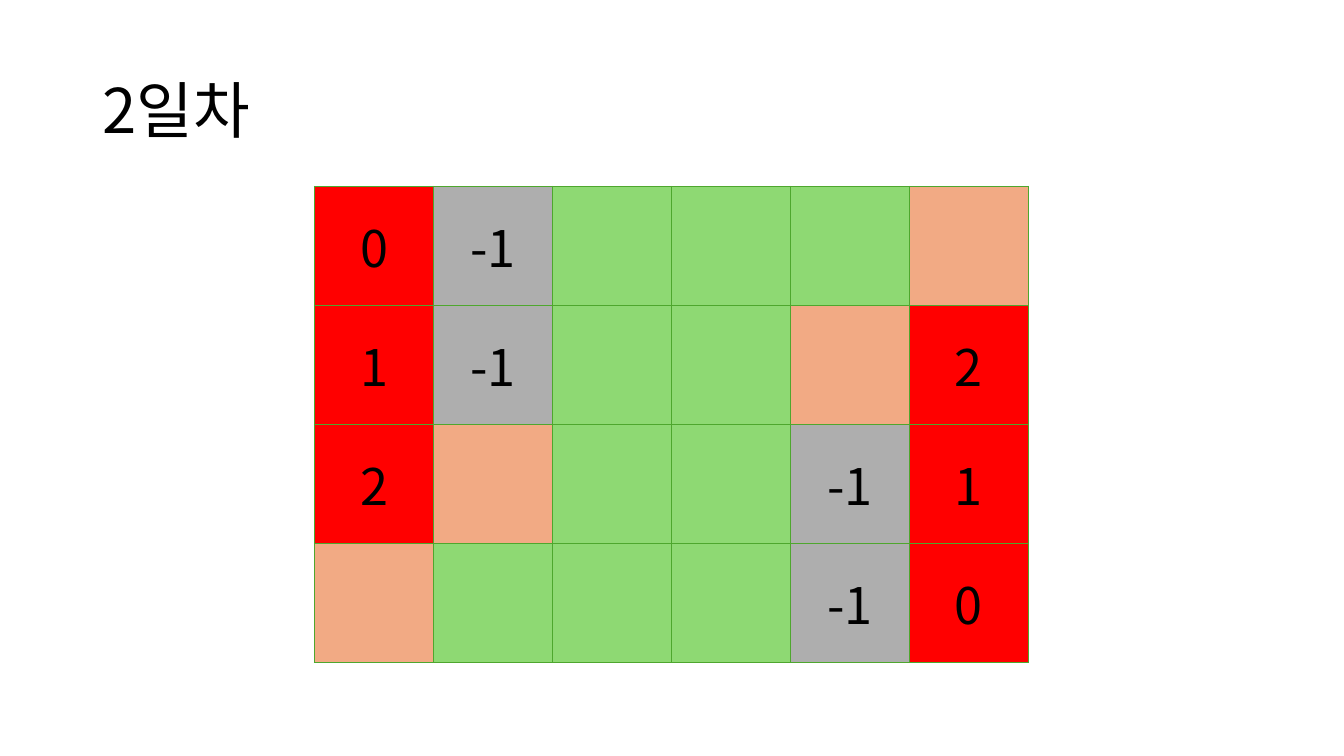
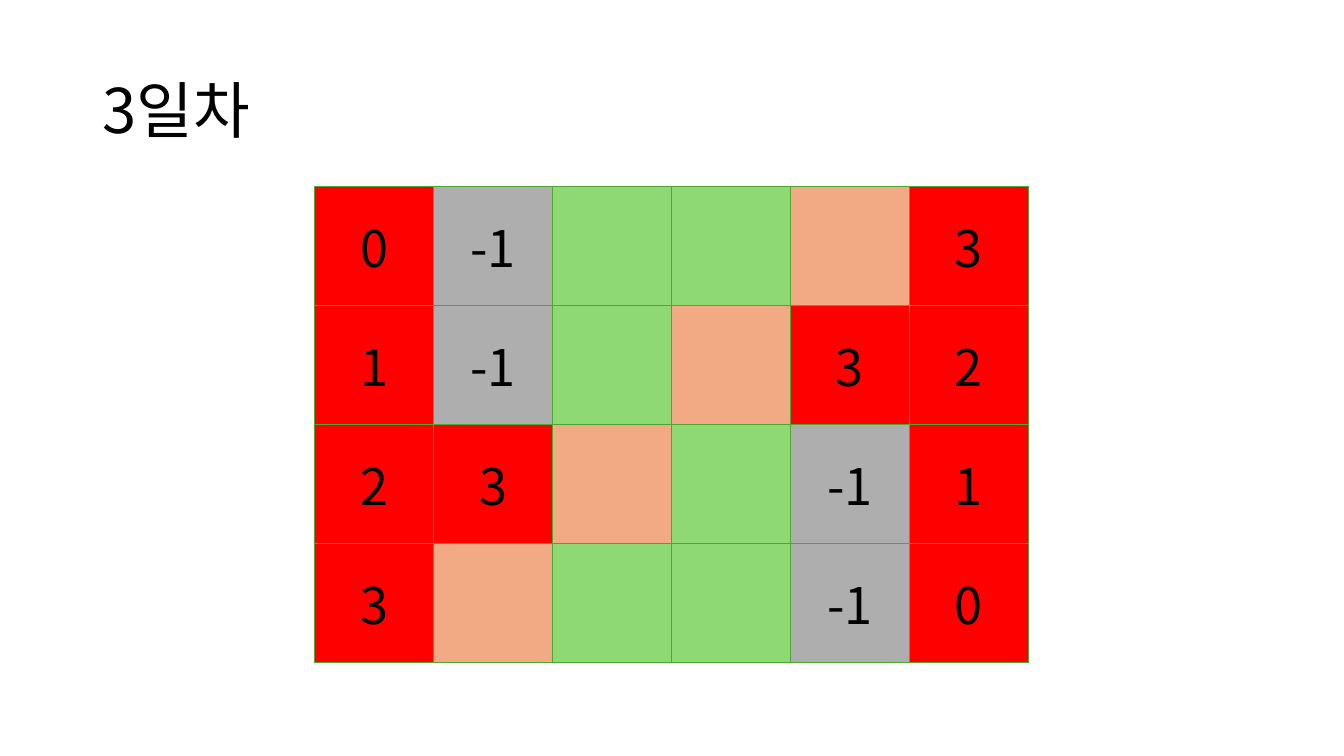
from pptx import Presentation
from pptx import util as u
from pptx.dml.color import RGBColor
from pptx.enum import text
from pptx.oxml.ns import qn
from lxml import etree

FONT = "Noto Sans CJK KR"
BLACK = "000000"
BORDER = "4EA72E"
BURNT, WALL, FOREST, NEXT = "FF0000", "AEAEAE", "8ED973", "F2AA84"
CELL_FILLS = {"-1": WALL, ".": FOREST, "*": NEXT}  # any other mark is a burnt day
CELL = 85
GRID_LEFT, GRID_TOP = 224.7, 133.2

DAYS = [
    ("2일차", ["0 -1 . . . *",
             "1 -1 . . * 2",
             "2 * . . -1 1",
             "* . . . -1 0"]),
    ("3일차", ["0 -1 . . * 3",
             "1 -1 . * 3 2",
             "2 3 * . -1 1",
             "3 * . . -1 0"]),
]


def rgb(value):
    return RGBColor.from_string(value)


def write(tf, content, size=18, color=BLACK, font=FONT,
          align=text.PP_ALIGN.LEFT, spacing=1.0):
    p = tf.paragraphs[0]
    p.alignment = align
    p.line_spacing = spacing
    r = p.add_run()
    r.text = content
    r.font.size = u.Pt(size)
    r.font.name = font
    r.font.color.rgb = rgb(color)
    ea = etree.SubElement(r.font._element, qn("a:ea"))
    ea.set("typeface", font)


def add_title(s, content):
    sp = s.shapes.add_textbox(u.Pt(66), u.Pt(28.8), u.Pt(828), u.Pt(104.4))
    tf = sp.text_frame
    tf.word_wrap = True
    tf.vertical_anchor = text.MSO_ANCHOR.MIDDLE
    write(tf, content, size=44, spacing=0.9)


def set_borders(cell, color, width):
    """Draw all four sides; the line elements must precede the cell fill."""
    props = cell._tc.get_or_add_tcPr()
    for i, side in enumerate(("lnL", "lnR", "lnT", "lnB")):
        ln = etree.Element(qn(f"a:{side}"), w=str(u.Pt(width)))
        fill = etree.SubElement(ln, qn("a:solidFill"))
        etree.SubElement(fill, qn("a:srgbClr"), val=color)
        props.insert(i, ln)


def fill_cell(cell, mark):
    cell.fill.solid()
    cell.fill.fore_color.rgb = rgb(CELL_FILLS.get(mark, BURNT))
    set_borders(cell, BORDER, 1)
    cell.vertical_anchor = text.MSO_ANCHOR.MIDDLE
    if mark not in (".", "*"):
        write(cell.text_frame, mark, size=36, align=text.PP_ALIGN.CENTER)


def add_grid(s, rows):
    marks = [row.split() for row in rows]
    n_rows, n_cols = len(marks), len(marks[0])
    table = s.shapes.add_table(n_rows, n_cols, u.Pt(GRID_LEFT), u.Pt(GRID_TOP),
                               u.Pt(CELL * n_cols), u.Pt(CELL * n_rows)).table
    table.first_row = table.horz_banding = False
    for i, row in enumerate(marks):
        for j, mark in enumerate(row):
            fill_cell(table.cell(i, j), mark)


def main():
    prs = Presentation()
    prs.slide_width, prs.slide_height = u.Pt(960), u.Pt(540)
    for title, rows in DAYS:
        s = prs.slides.add_slide(prs.slide_layouts[6])
        add_title(s, title)
        add_grid(s, rows)
    prs.save("out.pptx")


if __name__ == "__main__":
    main()
